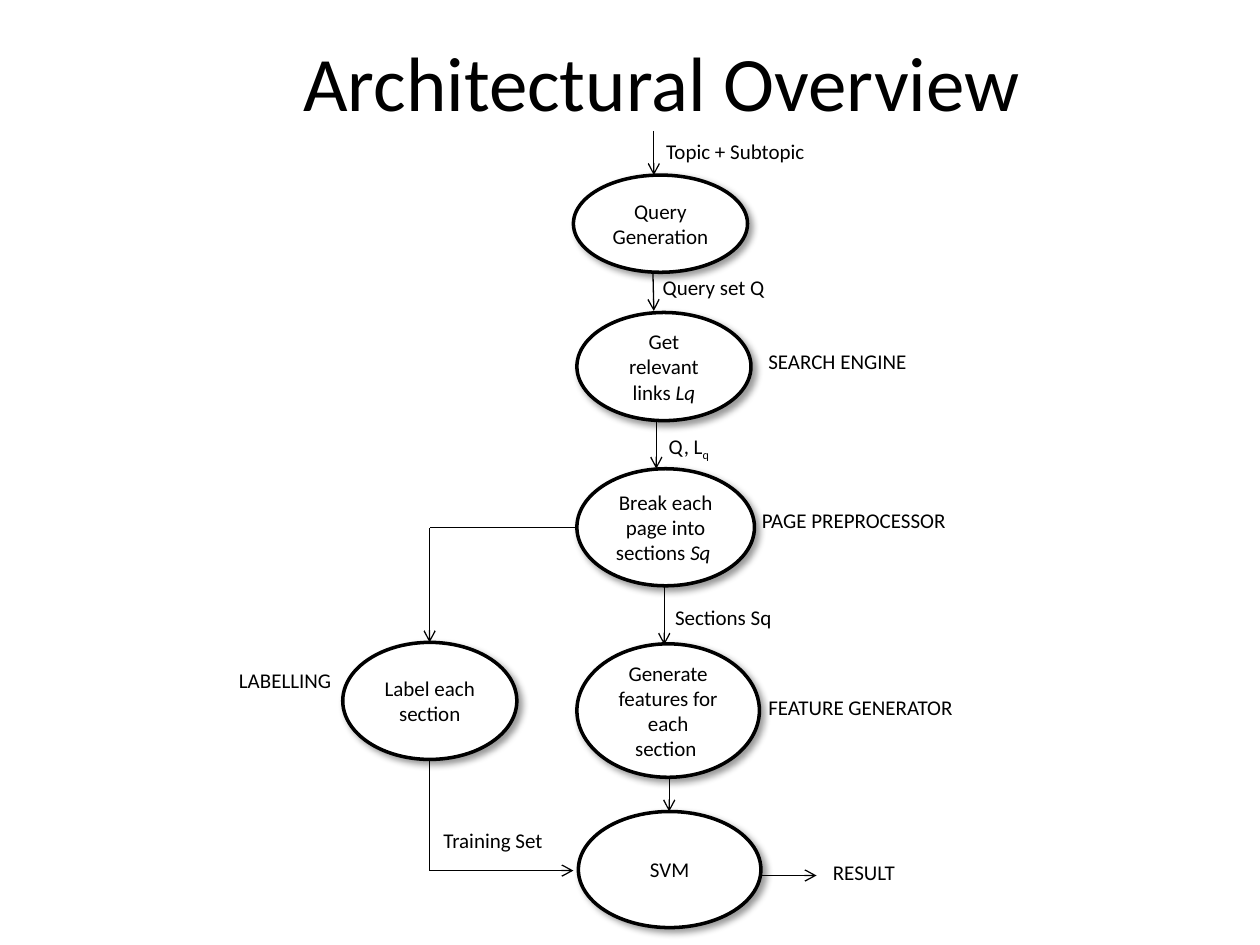
from itertools import pairwise

from lxml import etree
from pptx import Presentation
from pptx.dml.color import RGBColor
from pptx.enum.shapes import MSO_CONNECTOR, MSO_SHAPE
from pptx.enum.text import MSO_ANCHOR, PP_ALIGN
from pptx.oxml.ns import qn
from pptx.util import Cm, Pt

OVAL = MSO_SHAPE.OVAL
STRAIGHT = MSO_CONNECTOR.STRAIGHT
MIDDLE = MSO_ANCHOR.MIDDLE
LEFT, CENTER, RIGHT = PP_ALIGN.LEFT, PP_ALIGN.CENTER, PP_ALIGN.RIGHT

COLORS = {"ink": "000000", "paper": "FFFFFF"}
FONT = "Calibri"

STEPS = [
    ("Query Generation", "", (7.32, 0.89, 3.51, 1.96)),
    ("Get relevant links ", "Lq", (7.39, 3.66, 3.51, 2.18)),
    ("Break each page into sections ", "Sq ", (7.39, 6.81, 3.58, 2.36)),
    ("Generate features for each section ", "", (7.39, 10.34, 3.68, 2.69)),
    ("Label each section", "", (2.67, 10.31, 3.51, 2.36)),
    ("SVM", "", (7.42, 13.72, 3.68, 2.34)),
]
ROUTES = [
    [(8.94, 0), (8.94, 0.89)],
    [(8.92, 2.74), (8.94, 3.63)],
    [(8.99, 5.69), (8.99, 6.81)],
    [(9.15, 9.2), (9.15, 10.36)],
    [(9.25, 13.03), (9.25, 13.72)],
    [(7.39, 8), (4.42, 8), (4.42, 10.31)],
    [(4.42, 12.68), (4.42, 14.91), (7.32, 14.91)],
    [(10.8, 15.01), (12.22, 15.01)],
]
LABELS = [
    ("Topic + Subtopic", "", LEFT, (8.94, 0.03, 4.52, 0.71)),
    ("Query set Q", "", LEFT, (8.87, 2.77, 7.54, 0.71)),
    ("SEARCH ENGINE", "", LEFT, (11, 4.27, 4.32, 0.71)),
    ("Q, L", "q", LEFT, (8.99, 5.97, 3.38, 0.86)),
    ("PAGE PREPROCESSOR", "", LEFT, (10.87, 7.47, 4.45, 0.76)),
    ("Sections Sq", "", LEFT, (9.12, 9.43, 7.54, 0.71)),
    ("FEATURE GENERATOR", "", LEFT, (11, 11.23, 4.32, 0.76)),
    ("LABELLING", "", RIGHT, (0, 10.7, 2.69, 0.76)),
    ("Training Set", "", LEFT, (4.45, 13.92, 7.54, 0.76)),
    ("RESULT", "", LEFT, (12.3, 14.56, 2.08, 0.76)),
]


def color(name):
    return RGBColor.from_string(COLORS[name])


def write(shape, text, size=12, align=CENTER):
    shape.text_frame.word_wrap = True
    para = shape.text_frame.paragraphs[0]
    para.alignment = align
    para.font.name = FONT
    para.font.size = Pt(size)
    para.font.color.rgb = color("ink")
    para.add_run().text = text
    return para


def add_span(para, text):
    span = para.add_run()
    span.text = text
    return span


def add_title(page, box, text):
    title = page.shapes.add_textbox(*map(Cm, box))
    write(title, text, size=44)
    title.text_frame.vertical_anchor = MIDDLE


def add_step(page, box, text, symbol):
    oval = page.shapes.add_shape(OVAL, *map(Cm, box))
    oval.fill.solid()
    oval.fill.fore_color.rgb = color("paper")
    oval.line.color.rgb = color("ink")
    oval.line.width = Pt(2)
    oval.shadow.inherit = False
    effects = oval.element.spPr.find(qn("a:effectLst"))
    shadow = etree.SubElement(
        effects, qn("a:outerShdw"), blurRad=str(Pt(4)), dist=str(Pt(3)),
        dir="2700000", algn="tl", rotWithShape="0")
    shade = etree.SubElement(shadow, qn("a:srgbClr"), val=COLORS["ink"])
    etree.SubElement(shade, qn("a:alpha"), val="40000")
    oval.text_frame.vertical_anchor = MIDDLE
    para = write(oval, text)
    if symbol:
        add_span(para, symbol).font.italic = True


def add_label(page, box, text, subscript, align):
    label = page.shapes.add_textbox(*map(Cm, box))
    para = write(label, text, align=align)
    if subscript:
        add_span(para, subscript).font._element.set("baseline", "-25000")


def add_route(page, points):
    for start, end in pairwise(points):
        line = page.shapes.add_connector(STRAIGHT, *map(Cm, start + end))
        line.line.color.rgb = color("ink")
        line.line.width = Pt(0.75)
        properties = line.element.spPr
        if end == points[-1]:
            stroke = properties.find(qn("a:ln"))
            etree.SubElement(stroke, qn("a:tailEnd"), type="arrow")
        etree.SubElement(properties, qn("a:effectLst"))


def add_flowchart(page, left, top):
    def place(box):
        x, y, width, height = box
        return left + x, top + y, width, height

    for points in ROUTES:
        add_route(page, [(left + x, top + y) for x, y in points])
    for text, symbol, box in STEPS:
        add_step(page, place(box), text, symbol)
    for text, subscript, align, box in LABELS:
        add_label(page, place(box), text, subscript, align)


def main():
    deck = Presentation()
    deck.slide_width, deck.slide_height = Cm(25.4), Cm(19.05)
    page = deck.slides.add_slide(deck.slide_layouts[6])
    add_title(page, (2.13, 0.03, 22.43, 3.18), "Architectural Overview")
    add_flowchart(page, 4.24, 2.64)
    deck.save("out.pptx")


if __name__ == "__main__":
    main()
